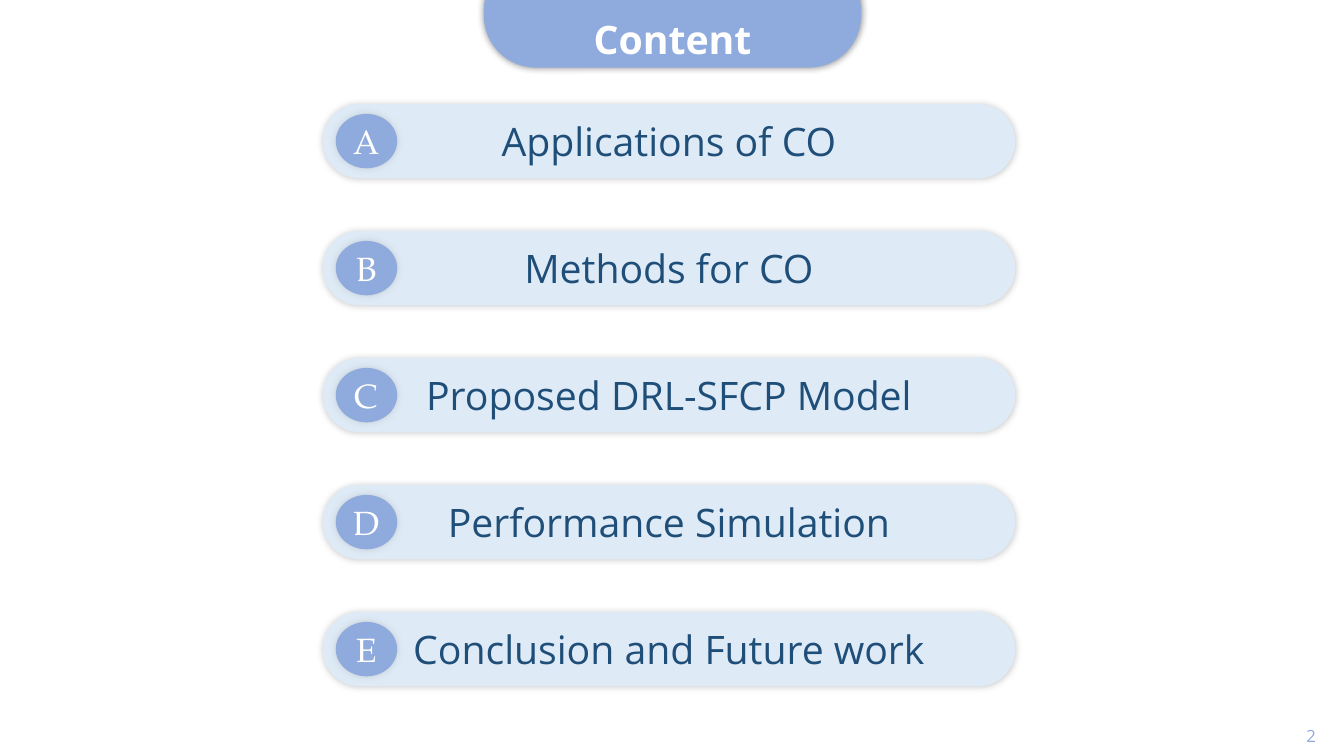
from dataclasses import dataclass

from lxml import etree
from pptx import Presentation
from pptx.dml.color import RGBColor
from pptx.enum.shapes import MSO_SHAPE
from pptx.enum.text import MSO_ANCHOR, MSO_AUTO_SIZE, PP_ALIGN
from pptx.oxml.ns import qn
from pptx.util import Inches, Pt

ROUNDED = MSO_SHAPE.ROUNDED_RECTANGLE
OVAL = MSO_SHAPE.OVAL
MIDDLE, TOP = MSO_ANCHOR.MIDDLE, MSO_ANCHOR.TOP
CENTER, RIGHT = PP_ALIGN.CENTER, PP_ALIGN.RIGHT
NO_AUTOFIT = MSO_AUTO_SIZE.NONE


@dataclass(frozen=True)
class Theme:
    accent: str = "8FAADC"
    bar: str = "DEEBF7"
    ink: str = "1F4E79"
    white: str = "FFFFFF"
    bar_shadow: str = "808080"
    badge_shadow: str = "A6A6A6"
    tab_shadow: str = "000000"
    font: str = "Open Sans"
    letter_font: str = "TeX Gyre Pagella"
    heading_size: int = 28
    letter_size: int = 24
    number_size: int = 12


@dataclass(frozen=True)
class Box:
    left: float
    top: float
    width: float
    height: float

    def lengths(self) -> tuple:
        return tuple(Inches(v) for v in (self.left, self.top, self.width, self.height))


@dataclass(frozen=True)
class AgendaItem:
    letter: str
    label: str


THEME = Theme()
AGENDA = [
    AgendaItem("A", "Applications of CO"),
    AgendaItem("B", "Methods for CO"),
    AgendaItem("C", "Proposed DRL-SFCP Model"),
    AgendaItem("D", "Performance Simulation"),
    AgendaItem("E", "Conclusion and Future work"),
]
FIRST_TOP, ROW_PITCH = 1.03, 1.26
TAB_LEFT, TAB_WIDTH = 4.8, 3.74


def add_glow_shadow(sp, color: str) -> None:
    sp.shadow.inherit = False
    effects = sp._element.spPr.find(qn("a:effectLst"))
    shadow = etree.SubElement(effects, qn("a:outerShdw"), blurRad=str(Pt(5)),
                              dist="0", dir="0", algn="ctr", rotWithShape="0")
    clr = etree.SubElement(shadow, qn("a:srgbClr"), val=color)
    etree.SubElement(clr, qn("a:alpha"), val="40000")


def add_panel(shapes, kind, box: Box, fill: str, shadow: str):
    sp = shapes.add_shape(kind, *box.lengths())
    sp.fill.solid()
    sp.fill.fore_color.rgb = RGBColor.from_string(fill)
    sp.line.fill.background()
    add_glow_shadow(sp, shadow)
    return sp


def write(sp, text: str, font: str, size: int, color: str, align=CENTER,
          anchor=MIDDLE, bold: bool = False) -> None:
    tf = sp.text_frame
    tf.text = text
    tf.vertical_anchor = anchor
    p = tf.paragraphs[0]
    p.alignment = align
    p.font.name = font
    p.font.size = Pt(size)
    p.font.bold = bold
    p.font.color.rgb = RGBColor.from_string(color)


def add_agenda_row(s, item: AgendaItem, top: float) -> None:
    shapes = s.shapes.add_group_shape().shapes
    bar = add_panel(shapes, ROUNDED, Box(3.2, top, 6.87, 0.74), THEME.bar, THEME.bar_shadow)
    bar.adjustments[0] = 0.5
    write(bar, item.label, THEME.font, THEME.heading_size, THEME.ink)
    badge = add_panel(shapes, OVAL, Box(3.33, top + 0.1, 0.61, 0.54),
                      THEME.accent, THEME.badge_shadow)
    write(badge, item.letter, THEME.letter_font, THEME.letter_size, THEME.white)
    badge.text_frame.margin_left = badge.text_frame.margin_right = 0


def add_title(s) -> None:
    tab = add_panel(s.shapes, ROUNDED, Box(TAB_LEFT, -0.41, TAB_WIDTH, 1.08),
                    THEME.accent, THEME.tab_shadow)
    tab.adjustments[0] = 0.476
    title = s.shapes.title
    title.left, title.top, title.width, title.height = Box(
        TAB_LEFT, 0.1, TAB_WIDTH, 0.57).lengths()
    write(title, "Content", THEME.font, THEME.heading_size, THEME.white, anchor=TOP, bold=True)
    title.text_frame.word_wrap = True
    title.text_frame.auto_size = NO_AUTOFIT
    tab._element.addnext(title._element)


def add_page_number(s) -> None:
    sp = s.shapes.add_textbox(*Box(10.15, 7.1, 3, 0.4).lengths())
    sp.text_frame.word_wrap = True
    write(sp, "2", THEME.font, THEME.number_size, THEME.accent, align=RIGHT)


def main() -> None:
    prs = Presentation()
    prs.slide_width, prs.slide_height = Inches(13.33), Inches(7.5)
    s = prs.slides.add_slide(prs.slide_layouts[5])
    for i, item in enumerate(AGENDA):
        add_agenda_row(s, item, FIRST_TOP + i * ROW_PITCH)
    add_title(s)
    add_page_number(s)
    prs.save("out.pptx")


if __name__ == "__main__":
    main()
